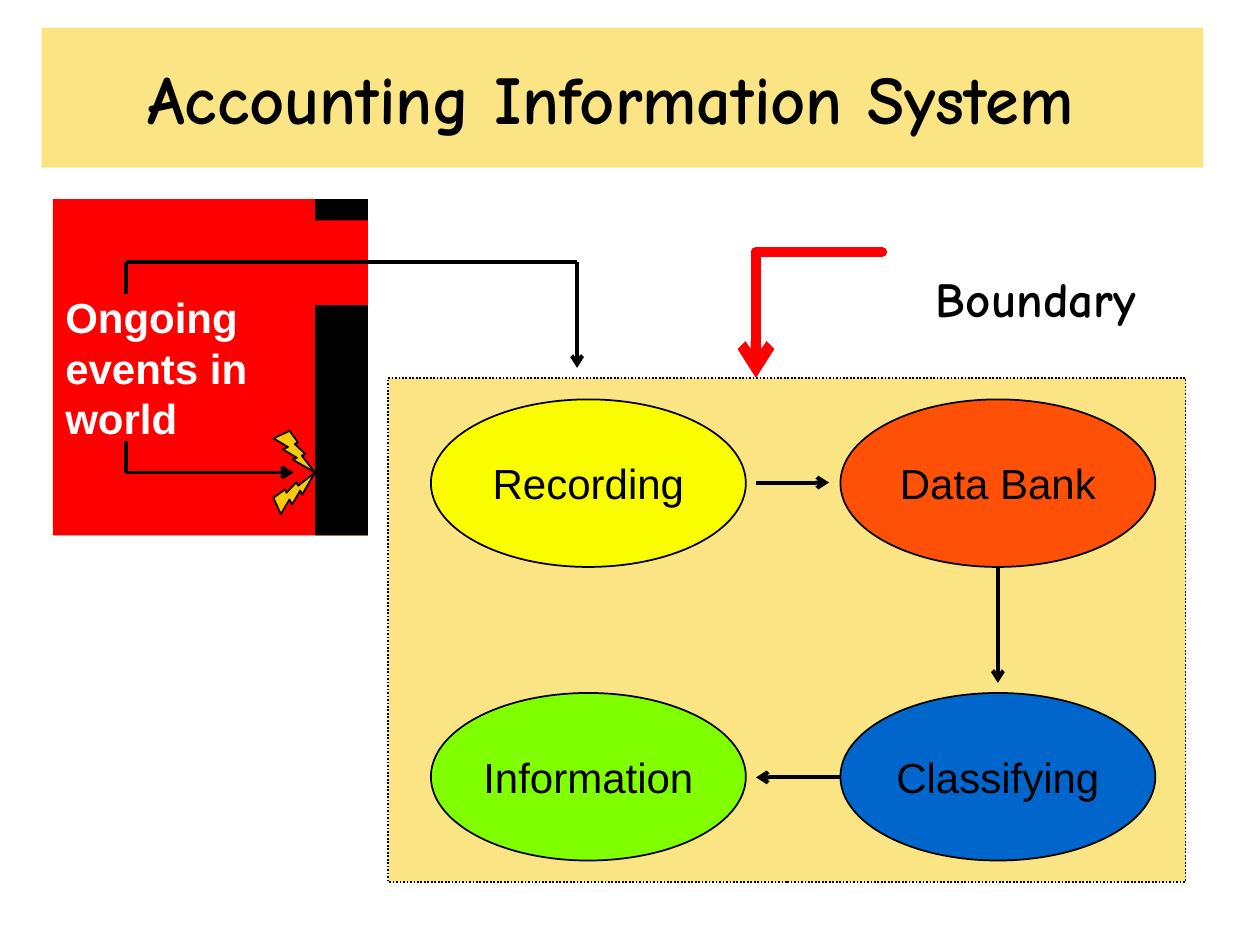
from lxml.etree import SubElement
from pptx import Presentation
from pptx.dml.color import RGBColor
from pptx.enum.dml import MSO_LINE
from pptx.enum.shapes import MSO_CONNECTOR, MSO_SHAPE
from pptx.enum.text import MSO_ANCHOR, PP_ALIGN
from pptx.oxml.ns import qn
from pptx.util import Inches, Pt

BLACK = RGBColor(0x00, 0x00, 0x00)
WHITE = RGBColor(0xFF, 0xFF, 0xFF)
RED = RGBColor(0xFF, 0x00, 0x00)
GOLD = RGBColor(0xF8, 0xCB, 0x0A)
YELLOW = RGBColor(0xFA, 0xFD, 0x00)
ORANGE = RGBColor(0xFF, 0x50, 0x08)
BLUE = RGBColor(0x00, 0x66, 0xCC)
GREEN = RGBColor(0x7F, 0xFF, 0x00)

BODY_FONT = "Arial"
HEADING_FONT = "Comic Neue"

STAGE_SIZE = (2.5, 1.33)
LEFT_COLUMN, RIGHT_COLUMN = 3.42, 6.67
TOP_ROW, BOTTOM_ROW = 3.17, 5.5
STAGES = [
    ("Recording", LEFT_COLUMN, TOP_ROW, YELLOW),
    ("Data Bank", RIGHT_COLUMN, TOP_ROW, ORANGE),
    ("Classifying", RIGHT_COLUMN, BOTTOM_ROW, BLUE),
    ("Information", LEFT_COLUMN, BOTTOM_ROW, GREEN),
]

# Start, end and arrowhead of each straight line
FLOW_LINES = [
    ((1, 2.33), (1, 2.08), None),
    ((1, 2.08), (4.58, 2.08), None),
    ((4.58, 2.08), (4.58, 2.92), "arrow"),
    ((1, 3.5), (1, 3.75), None),
    ((1, 3.75), (2.33, 3.75), "triangle"),
    ((1, 3.75), (2.33, 3.75), "arrow"),
    ((6, 3.83), (6.58, 3.83), "arrow"),
    ((7.92, 4.5), (7.92, 5.42), "arrow"),
    ((6.67, 6.17), (6, 6.17), "arrow"),
]

BOUNDARY_START = (7.33, 2.35)
# Two control points and the end point of each curve
BOUNDARY_CURVES = [
    ((7.24, 2.32), (7.15, 2.3), (7.06, 2.27)),
    ((6.9, 2.28), (6.7, 2.21), (6.57, 2.31)),
    ((6.32, 2.52), (6.75, 2.23), (6.47, 2.41)),
    ((6.44, 2.45), (6.42, 2.49), (6.39, 2.53)),
    ((6.38, 2.55), (6.35, 2.59), (6.35, 2.59)),
    ((6.32, 2.68), (6.24, 2.73), (6.24, 2.84)),
]
CURVE_STEPS = 8


def add_filled_shape(page, kind, left, top, width, height, color, outlined=False):
    shape = page.shapes.add_shape(
        kind, Inches(left), Inches(top), Inches(width), Inches(height))
    shape.shadow.inherit = False
    shape.fill.solid()
    shape.fill.fore_color.rgb = color
    if outlined:
        shape.line.color.rgb = BLACK
        shape.line.width = Pt(1)
    else:
        shape.line.fill.background()
    return shape


def make_half_transparent(shape):
    color = shape.fill._xPr.find(qn("a:solidFill"))[0]
    SubElement(color, qn("a:alpha"), val="50000")


def write_text(shape, text, size, color=BLACK, font=BODY_FONT, bold=False,
               align=PP_ALIGN.CENTER, anchor=MSO_ANCHOR.MIDDLE, wrap=True):
    frame = shape.text_frame
    frame.word_wrap = wrap
    frame.vertical_anchor = anchor
    paragraph = frame.paragraphs[0]
    paragraph.text = text
    paragraph.alignment = align
    paragraph.font.name = font
    paragraph.font.size = Pt(size)
    paragraph.font.bold = bold
    paragraph.font.color.rgb = color


def style_line(shape, color, width, head):
    shape.line.color.rgb = color
    shape.line.width = Pt(width)
    if head:
        SubElement(shape.line._get_or_add_ln(), qn("a:tailEnd"), type=head)


def add_flow_line(page, start, end, head):
    x1, y1, x2, y2 = map(Inches, start + end)
    line = page.shapes.add_connector(MSO_CONNECTOR.STRAIGHT, x1, y1, x2, y2)
    style_line(line, BLACK, 2.25, head)
    SubElement(line._element.spPr, qn("a:effectLst"))


def curve_points(start, curves):
    """Sample a chain of cubic curves as points after the start."""
    points = []
    for curve in curves:
        for step in range(1, CURVE_STEPS + 1):
            t = step / CURVE_STEPS
            weights = ((1 - t) ** 3, 3 * t * (1 - t) ** 2, 3 * t ** 2 * (1 - t), t ** 3)
            points.append(tuple(
                sum(weight * value for weight, value in zip(weights, values))
                for values in zip(start, *curve)))
        start = curve[-1]
    return points


def add_boundary_pointer(page):
    builder = page.shapes.build_freeform(*BOUNDARY_START, scale=Inches(1))
    builder.add_line_segments(curve_points(BOUNDARY_START, BOUNDARY_CURVES), close=False)
    pointer = builder.convert_to_shape()
    pointer.shadow.inherit = False
    pointer.fill.background()
    style_line(pointer, RED, 6, "arrow")


def add_title(page):
    title = add_filled_shape(page, MSO_SHAPE.RECTANGLE, 0.33, 0.22, 9.22, 1.11, GOLD)
    make_half_transparent(title)
    write_text(title, "Accounting Information System ", 39, font=HEADING_FONT, bold=True)


def add_world(page):
    world = add_filled_shape(page, MSO_SHAPE.RECTANGLE, 0.42, 1.58, 2.5, 2.67, RED)
    write_text(world, "Ongoing events in world", 24, WHITE, bold=True, align=PP_ALIGN.LEFT)
    add_filled_shape(page, MSO_SHAPE.RECTANGLE, 2.5, 1.58, 0.42, 2.67, BLACK)
    add_filled_shape(page, MSO_SHAPE.RECTANGLE, 2.5, 1.75, 0.42, 0.67, RED)
    for top, rotation in ((3.42, 0), (3.75, 270)):
        bolt = add_filled_shape(
            page, MSO_SHAPE.LIGHTNING_BOLT, 2.17, top, 0.33, 0.33, GOLD, outlined=True)
        bolt.rotation = rotation


def add_system(page):
    system = add_filled_shape(
        page, MSO_SHAPE.RECTANGLE, 3.08, 3, 6.33, 4, GOLD, outlined=True)
    make_half_transparent(system)
    system.line.dash_style = MSO_LINE.ROUND_DOT
    for name, left, top, color in STAGES:
        stage = add_filled_shape(
            page, MSO_SHAPE.OVAL, left, top, *STAGE_SIZE, color, outlined=True)
        write_text(stage, name, 24, wrap=False)


def add_boundary_label(page):
    label = page.shapes.add_textbox(Inches(7.33), Inches(2.08), Inches(3.08), Inches(0.57))
    write_text(label, "Boundary", 28, font=HEADING_FONT, bold=True,
               align=PP_ALIGN.LEFT, anchor=MSO_ANCHOR.TOP)


def main():
    deck = Presentation()
    deck.slide_width = Inches(10)
    deck.slide_height = Inches(7.5)
    page = deck.slides.add_slide(deck.slide_layouts[6])
    add_title(page)
    add_world(page)
    add_system(page)
    for start, end, head in FLOW_LINES:
        add_flow_line(page, start, end, head)
    add_boundary_label(page)
    add_boundary_pointer(page)
    deck.save("out.pptx")


if __name__ == "__main__":
    main()
